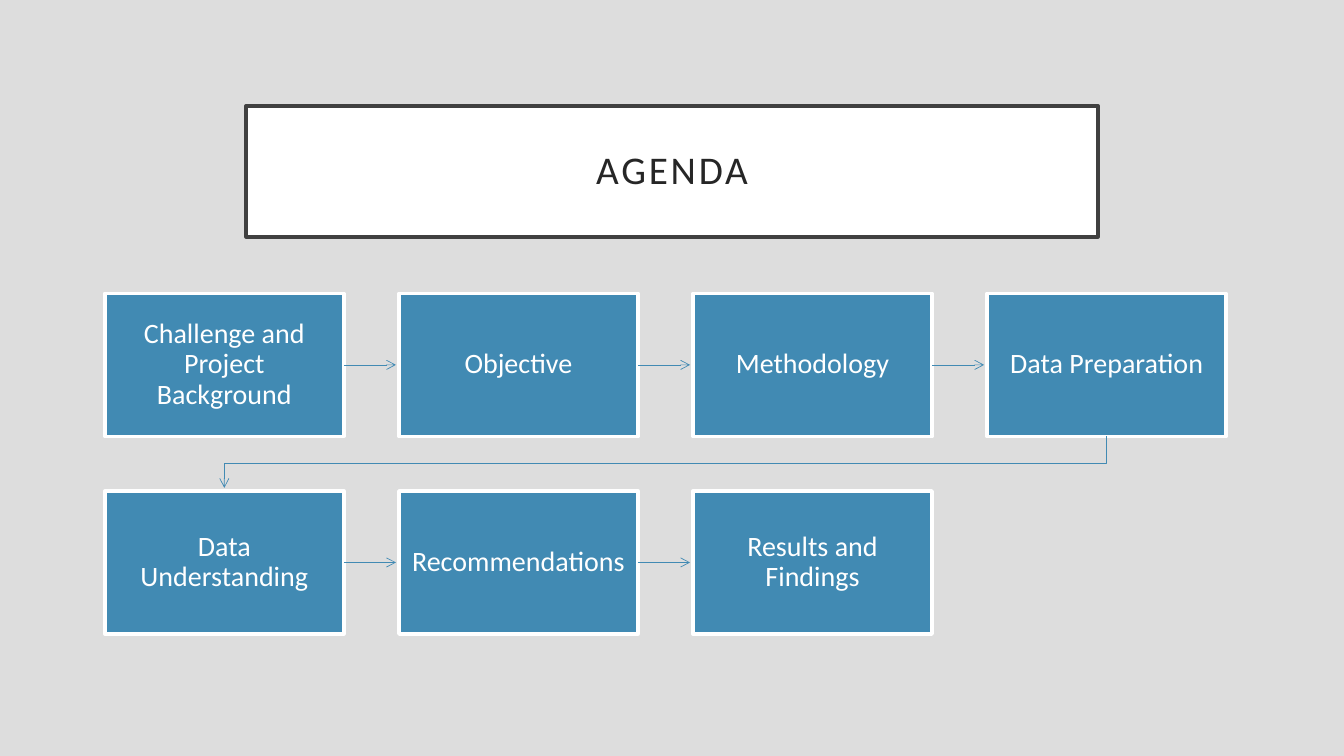
from lxml import etree
from pptx import Presentation
from pptx.dml.color import RGBColor
from pptx.enum.shapes import MSO_CONNECTOR, MSO_SHAPE
from pptx.enum.text import MSO_ANCHOR, MSO_AUTO_SIZE, PP_ALIGN
from pptx.oxml.ns import qn
from pptx.util import Inches, Pt

STRAIGHT = MSO_CONNECTOR.STRAIGHT
RECT = MSO_SHAPE.RECTANGLE
MIDDLE = MSO_ANCHOR.MIDDLE
CENTER = PP_ALIGN.CENTER
NO_FIT = MSO_AUTO_SIZE.NONE

GRAY = RGBColor(0xDD, 0xDD, 0xDD)
WHITE = RGBColor(0xFF, 0xFF, 0xFF)
FRAME = RGBColor(0x40, 0x40, 0x40)
INK = RGBColor(0x26, 0x26, 0x26)
BLUE = RGBColor(0x41, 0x8A, 0xB3)

TOPICS = [
    "Challenge and Project Background", "Objective", "Methodology",
    "Data Preparation", "Data Understanding", "Recommendations",
    "Results and Findings",
]
COLS = 4
LEFT, TOP = 1.04, 2.91
WIDTH, HEIGHT = 2.37, 1.42
STEP_X, STEP_Y = 2.917, 1.96
GAP = 0.03  # space between an arrow tip and the next box


def style_box(box, text, fill, edge, color, size, inset):
    box.fill.solid()
    box.fill.fore_color.rgb = fill
    box.line.color.rgb = edge
    box.line.width = Pt(2.5)
    frame = box.text_frame
    frame.text = text
    frame.word_wrap = True
    frame.auto_size = NO_FIT
    frame.vertical_anchor = MIDDLE
    frame.margin_left = frame.margin_right = Inches(inset)
    frame.margin_top = frame.margin_bottom = Inches(inset)
    para = frame.paragraphs[0]
    para.alignment = CENTER
    para.line_spacing = 0.9
    para.font.name = "Calibri"
    para.font.size = Pt(size)
    para.font.color.rgb = color


def style_arrow(arrow):
    arrow.line.color.rgb = BLUE
    arrow.line.width = Pt(0.5)
    line = arrow.line._get_or_add_ln()
    etree.SubElement(line, qn("a:tailEnd"), type="arrow")


deck = Presentation()
deck.slide_width = Inches(13.33)
deck.slide_height = Inches(7.5)
slide = deck.slides.add_slide(deck.slide_layouts[5])
slide.background.fill.solid()
slide.background.fill.fore_color.rgb = GRAY
shapes = slide.shapes

title = shapes.title
title.left, title.top = Inches(2.44), Inches(1.05)
title.width, title.height = Inches(8.45), Inches(1.3)
style_box(title, "AGENDA", WHITE, FRAME, INK, 28, 0.2)
title.text_frame.paragraphs[0].runs[0].font._element.set("spc", "200")

for i, topic in enumerate(TOPICS):
    row, col = divmod(i, COLS)
    x, y = LEFT + col * STEP_X, TOP + row * STEP_Y
    box = shapes.add_shape(RECT, Inches(x), Inches(y), Inches(WIDTH), Inches(HEIGHT))
    box.shadow.inherit = False
    style_box(box, topic, BLUE, WHITE, WHITE, 20, 0.12)

    if col < COLS - 1 and i < len(TOPICS) - 1:
        mid = Inches(y + HEIGHT / 2)
        arrow = shapes.add_connector(
            STRAIGHT, Inches(x + WIDTH), mid, Inches(x + STEP_X - GAP), mid)
        style_arrow(arrow)
        etree.SubElement(arrow._element.spPr, qn("a:effectLst"))

# Arrow from the end of the first row back to the start of the second
start = Inches(LEFT + (COLS - 1) * STEP_X + WIDTH / 2)
end = Inches(LEFT + WIDTH / 2)
base = Inches(TOP + HEIGHT)
turn = Inches(TOP + (HEIGHT + STEP_Y) / 2)
tip = Inches(TOP + STEP_Y - GAP)
route = shapes.build_freeform(start, base)
route.add_line_segments([(start, turn), (end, turn), (end, tip)], close=False)
back = route.convert_to_shape()
back.fill.background()
back.shadow.inherit = False
style_arrow(back)

deck.save("out.pptx")
